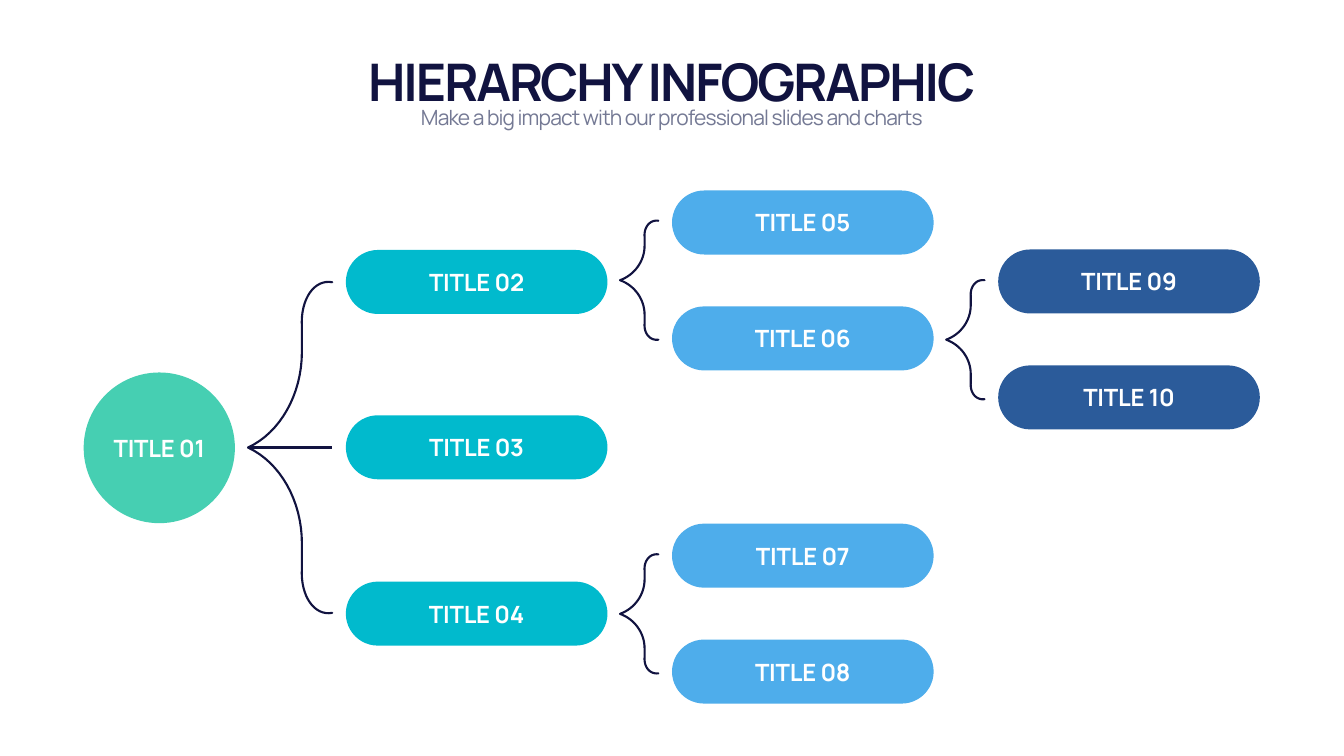
from dataclasses import dataclass

import pptx
import pptx.dml.color
import pptx.enum.shapes
import pptx.enum.text
import pptx.oxml
import pptx.oxml.ns
import pptx.presentation
import pptx.shapes.autoshape
import pptx.slide
import pptx.text.text
import pptx.util

EMU_PER_PX = 9144  # 100 px to the inch
ALIGN = pptx.enum.text.PP_ALIGN
ANCHOR = pptx.enum.text.MSO_ANCHOR
SHAPE = pptx.enum.shapes.MSO_SHAPE


@dataclass(frozen=True)
class TextStyle:
    size: int
    color: str
    bold: bool
    spacing: int  # hundredths of a point


@dataclass(frozen=True)
class Theme:
    font: str = "Manrope"
    ink: str = "111340"
    root: str = "46CFB2"
    levels: tuple[str, ...] = ("01BACD", "4EADEB", "2B5B9A")
    line_width: int = 3
    title: TextStyle = TextStyle(74, "111340", True, -290)
    subtitle: TextStyle = TextStyle(30, "747994", False, -120)
    label: TextStyle = TextStyle(34, "FFFFFF", True, -30)


@dataclass(frozen=True)
class Box:
    left: int
    top: int
    width: int
    height: int

    def emu(self) -> tuple[int, int, int, int]:
        return px(self.left), px(self.top), px(self.width), px(self.height)


@dataclass(frozen=True)
class Node:
    number: int
    level: int
    top: int


@dataclass(frozen=True)
class Bracket:
    tip_x: int
    tip_y: int
    width: int
    height: int


THEME = Theme()
COLUMN_LEFT, COLUMN_STEP = 686, 647
PILL_WIDTH, PILL_HEIGHT = 519, 127
NODES = (
    Node(2, 0, 496), Node(3, 0, 824), Node(4, 0, 1154),
    Node(5, 1, 378), Node(6, 1, 608), Node(7, 1, 1039), Node(8, 1, 1269),
    Node(9, 2, 495), Node(10, 2, 725),
)
ROOT_BRACKET = Bracket(492, 888, 167, 328)
BRACKETS = (
    ROOT_BRACKET,
    Bracket(1230, 556, 76, 118),
    Bracket(1230, 1218, 76, 118),
    Bracket(1877, 674, 76, 118),
)
# Cubic curves of one bracket arm, from its tip (0, 0) to its end (1, 1)
ARM_CURVES = (
    ((0, 0), (0.38, 0.09), (0.64, 0.32), (0.64, 0.58)),
    ((0.64, 0.58), (0.64, 0.65), (0.64, 0.68), (0.64, 0.73)),
    ((0.64, 0.73), (0.62, 0.9), (0.79, 1.02), (1, 1)),
)
CURVE_STEPS = 16


def px(length: float) -> int:
    return round(length * EMU_PER_PX)


def rgb(color: str) -> pptx.dml.color.RGBColor:
    return pptx.dml.color.RGBColor.from_string(color)


def write_text(frame: pptx.text.text.TextFrame, text: str, style: TextStyle,
               anchor: ANCHOR) -> None:
    frame.margin_left = frame.margin_right = 0
    frame.margin_top = frame.margin_bottom = 0
    frame.word_wrap = True
    frame.auto_size = pptx.enum.text.MSO_AUTO_SIZE.NONE
    frame.vertical_anchor = anchor
    paragraph = frame.paragraphs[0]
    paragraph.text = text
    paragraph.alignment = ALIGN.CENTER
    paragraph.space_before = pptx.util.Pt(0)
    font = paragraph.font
    font.name = THEME.font
    font.size = pptx.util.Pt(style.size)
    font.bold = style.bold
    font.color.rgb = rgb(style.color)
    properties = paragraph._p.pPr.find(pptx.oxml.ns.qn("a:defRPr"))
    properties.set("spc", str(style.spacing))


def fill_placeholder(shape: pptx.shapes.autoshape.Shape, box: Box, text: str,
                     style: TextStyle, anchor: ANCHOR) -> None:
    shape.left, shape.top, shape.width, shape.height = box.emu()
    write_text(shape.text_frame, text, style, anchor)


def draw_node(slide: pptx.slide.Slide, kind: SHAPE, box: Box, color: str,
              number: int) -> None:
    shape = slide.shapes.add_shape(kind, *box.emu())
    shape.shadow.inherit = False
    shape.fill.solid()
    shape.fill.fore_color.rgb = rgb(color)
    shape.line.fill.background()
    if kind == SHAPE.ROUNDED_RECTANGLE:
        shape.adjustments[0] = 0.5
    write_text(shape.text_frame, f"TITLE {number:02}", THEME.label, ANCHOR.MIDDLE)


def style_line(line: pptx.dml.line.LineFormat) -> None:
    line.color.rgb = rgb(THEME.ink)
    line.width = pptx.util.Pt(THEME.line_width)


def arm_points() -> list[tuple[float, float]]:
    """Sample the arm's curves as points in the unit square, tip excluded."""
    points = []
    for curve in ARM_CURVES:
        for step in range(1, CURVE_STEPS + 1):
            t = step / CURVE_STEPS
            weights = ((1 - t) ** 3, 3 * t * (1 - t) ** 2, 3 * t * t * (1 - t), t ** 3)
            x, y = (sum(w * point[axis] for w, point in zip(weights, curve))
                    for axis in (0, 1))
            points.append((x, y))
    return points


def draw_bracket(slide: pptx.slide.Slide, bracket: Bracket) -> None:
    for direction in (-1, 1):
        builder = slide.shapes.build_freeform(px(bracket.tip_x), px(bracket.tip_y))
        builder.add_line_segments(
            [(px(bracket.tip_x + x * bracket.width),
              px(bracket.tip_y + direction * y * bracket.height))
             for x, y in arm_points()],
            close=False,
        )
        arm = builder.convert_to_shape()
        arm.shadow.inherit = False
        arm.fill.background()
        style_line(arm.line)
        arm._element.spPr.find(pptx.oxml.ns.qn("a:ln")).set("cap", "rnd")


def draw_middle_line(slide: pptx.slide.Slide, bracket: Bracket) -> None:
    connector = slide.shapes.add_connector(
        pptx.enum.shapes.MSO_CONNECTOR.STRAIGHT,
        px(bracket.tip_x), px(bracket.tip_y),
        px(bracket.tip_x + bracket.width), px(bracket.tip_y),
    )
    style_line(connector.line)
    connector._element.spPr.append(pptx.oxml.parse_xml(
        f"<a:effectLst {pptx.oxml.ns.nsdecls('a')}/>"))


def main() -> None:
    presentation = pptx.Presentation()
    presentation.slide_width, presentation.slide_height = px(2666), px(1500)
    slide = presentation.slides.add_slide(presentation.slide_layouts[0])
    title, subtitle = slide.placeholders
    fill_placeholder(title, Box(166, 82, 2333, 140), "HIERARCHY INFOGRAPHIC",
                     THEME.title, ANCHOR.BOTTOM)
    fill_placeholder(subtitle, Box(166, 207, 2333, 61),
                     "Make a big impact with our professional slides and charts",
                     THEME.subtitle, ANCHOR.TOP)

    for bracket in BRACKETS:
        draw_bracket(slide, bracket)
    draw_middle_line(slide, ROOT_BRACKET)

    draw_node(slide, SHAPE.OVAL, Box(166, 739, 300, 299), THEME.root, 1)
    for node in NODES:
        left = COLUMN_LEFT + node.level * COLUMN_STEP
        draw_node(slide, SHAPE.ROUNDED_RECTANGLE,
                  Box(left, node.top, PILL_WIDTH, PILL_HEIGHT),
                  THEME.levels[node.level], node.number)
    presentation.save("out.pptx")


if __name__ == "__main__":
    main()
